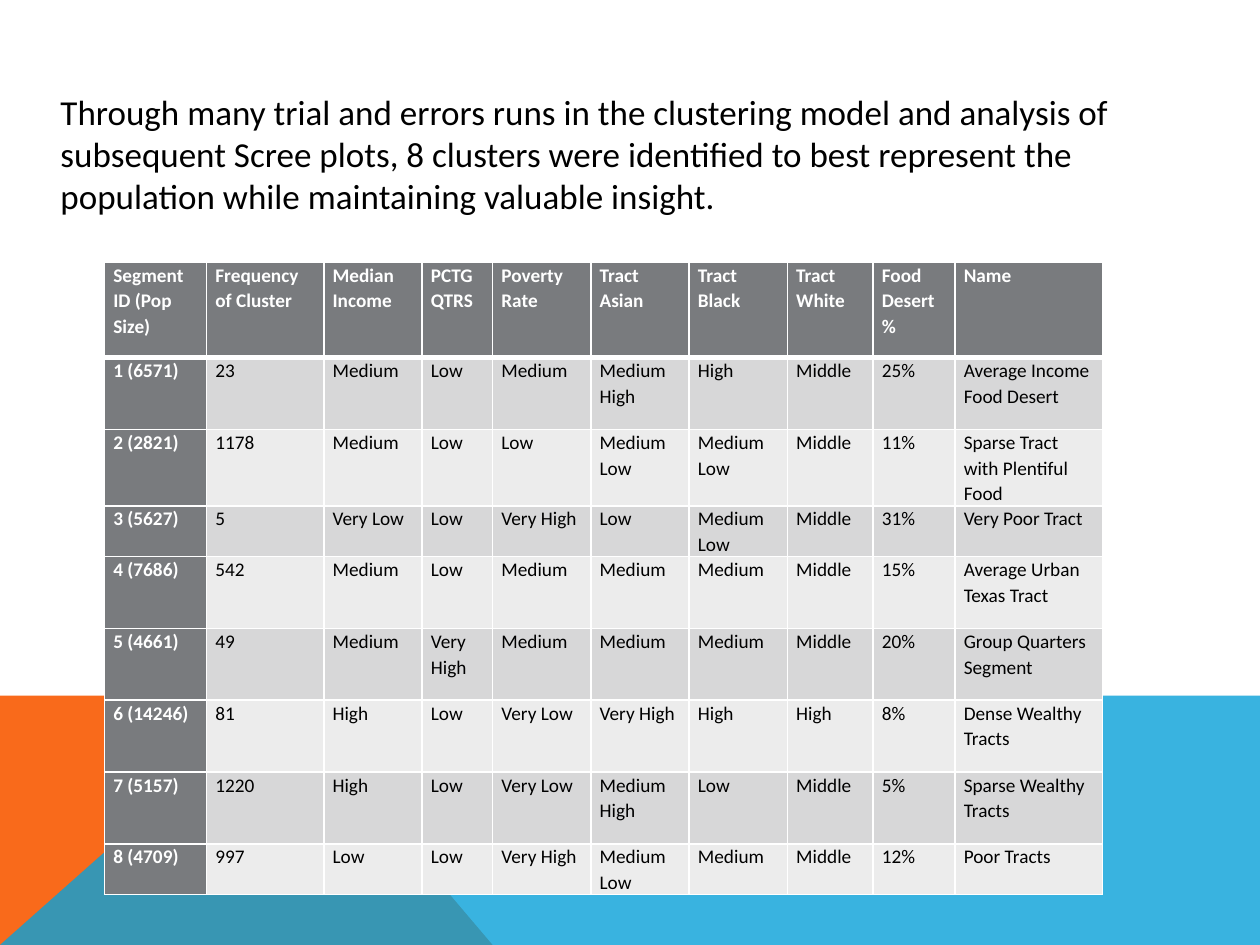
from lxml.etree import SubElement
from pptx import Presentation
from pptx.dml.color import RGBColor
from pptx.enum.text import MSO_ANCHOR as Anchor, MSO_AUTO_SIZE as AutoSize
from pptx.oxml import parse_xml
from pptx.oxml.ns import nsdecls, qn
from pptx.util import Inches, Pt

FONT = "Calibri"
WHITE, BLACK, GRAY = "FFFFFF", "000000", "797B7E"
BANDS = ["D7D7D8", "ECECEC"]

INTRO = (
    "Through many trial and errors runs in the clustering model and analysis of "
    "subsequent Scree plots, 8 clusters were identified to best represent the "
    "population while maintaining valuable insight."
)
COLUMN_WIDTHS = [0.81, 0.93, 0.78, 0.56, 0.78, 0.78, 0.78, 0.68, 0.65, 1.17]
ROW_HEIGHTS = [0.76, 0.57, 0.57, 0.38, 0.57, 0.57, 0.57, 0.57, 0.38]
SEGMENTS = [
    ["Segment ID (Pop Size)", "Frequency of Cluster", "Median Income", "PCTG QTRS",
     "Poverty Rate", "Tract Asian", "Tract Black", "Tract White", "Food Desert %", "Name"],
    ["1 (6571)", "23", "Medium", "Low", "Medium", "Medium High", "High", "Middle",
     "25%", "Average Income Food Desert"],
    ["2 (2821)", "1178", "Medium", "Low", "Low", "Medium Low", "Medium Low", "Middle",
     "11%", "Sparse Tract with Plentiful Food"],
    ["3 (5627)", "5", "Very Low", "Low", "Very High", "Low", "Medium Low", "Middle",
     "31%", "Very Poor Tract"],
    ["4 (7686)", "542", "Medium", "Low", "Medium", "Medium", "Medium", "Middle",
     "15%", "Average Urban Texas Tract"],
    ["5 (4661)", "49", "Medium", "Very High", "Medium", "Medium", "Medium", "Middle",
     "20%", "Group Quarters Segment"],
    ["6 (14246)", "81", "High", "Low", "Very Low", "Very High", "High", "High",
     "8%", "Dense Wealthy Tracts"],
    ["7 (5157)", "1220", "High", "Low", "Very Low", "Medium High", "Low", "Middle",
     "5%", "Sparse Wealthy Tracts"],
    ["8 (4709)", "997", "Low", "Low", "Very High", "Medium Low", "Medium", "Middle",
     "12%", "Poor Tracts"],
]


def paint(fill, color, opacity=None):
    fill.solid()
    fill.fore_color.rgb = RGBColor.from_string(color)
    if opacity is not None:
        node = fill._xPr.find(qn("a:solidFill"))[0]
        SubElement(node, qn("a:alpha")).set("val", str(opacity * 1000))


def write(para, text, size, color=BLACK, bold=False, line_spacing=None):
    span = para.add_run()
    span.text = text
    span.font.name = FONT
    span.font.size = Pt(size)
    span.font.bold = bold
    span.font.color.rgb = RGBColor.from_string(color)
    para.line_spacing = line_spacing


def add_band(page, points, color, opacity=None):
    corners = [(Inches(x), Inches(y)) for x, y in points]
    builder = page.shapes.build_freeform(*corners[0], scale=1.0)
    builder.add_line_segments(corners[1:], close=True)
    band = builder.convert_to_shape()
    band.shadow.inherit = False
    band.line.fill.background()
    paint(band.fill, color, opacity)


def place_body(body, text, left, top, width, height):
    body.left, body.top = Inches(left), Inches(top)
    body.width, body.height = Inches(width), Inches(height)
    frame = body.text_frame
    frame.word_wrap = True
    frame.auto_size = AutoSize.NONE
    frame.vertical_anchor = Anchor.TOP
    para = frame.paragraphs[0]
    write(para, text, 20)
    para.space_before = Pt(8)
    properties = para._p.get_or_add_pPr()
    properties.set("marL", "0")
    properties.set("indent", "0")
    SubElement(properties, qn("a:buNone"))


def set_borders(cell, **widths):
    properties = cell._tc.get_or_add_tcPr()
    for index, side in enumerate("LRTB"):
        properties.insert(index, parse_xml(
            f'<a:ln{side} {nsdecls("a")} w="{Pt(widths.get(side, 1))}">'
            f'<a:solidFill><a:srgbClr val="{WHITE}"/></a:solidFill></a:ln{side}>'
        ))


def fill_cell(cell, text, row, column):
    heading = row == 0 or column == 0
    cell.margin_left = cell.margin_right = Inches(0.07)
    cell.margin_top = cell.margin_bottom = 0
    write(cell.text_frame.paragraphs[0], text, 11, WHITE if heading else BLACK,
          bold=heading, line_spacing=1.07)
    paint(cell.fill, GRAY if heading else BANDS[(row - 1) % 2])
    set_borders(cell, T=3 if row == 1 else 1, B=3 if row == 0 else 1)


def add_segment_table(page, left, top):
    table = page.shapes.add_table(
        len(SEGMENTS), len(COLUMN_WIDTHS), Inches(left), Inches(top),
        Inches(sum(COLUMN_WIDTHS)), Inches(sum(ROW_HEIGHTS)),
    ).table
    for column, width in zip(table.columns, COLUMN_WIDTHS):
        column.width = Inches(width)
    for row, height in zip(table.rows, ROW_HEIGHTS):
        row.height = Inches(height)
    for row, values in enumerate(SEGMENTS):
        for column, text in enumerate(values):
            fill_cell(table.cell(row, column), text, row, column)


def main():
    deck = Presentation()
    deck.slide_width, deck.slide_height = Inches(10), Inches(7.5)
    page = deck.slides.add_slide(deck.slide_layouts[1])
    paint(page.background.fill, WHITE)
    tree = page.shapes._spTree
    tree.remove(page.shapes.title._element)
    body = page.placeholders[1]

    add_band(page, [(0, 7.5), (0, 5.52), (2.23, 5.52), (3.91, 7.5)], "F96A1B")
    add_band(page, [(0, 7.5), (2.23, 5.52), (10, 5.52), (10, 7.5)], "08A1D9", opacity=80)
    tree.append(body._element)
    place_body(body, INTRO, 0.38, 0.67, 9.25, 6.42)
    add_segment_table(page, 0.83, 2.08)
    deck.save("out.pptx")


if __name__ == "__main__":
    main()
